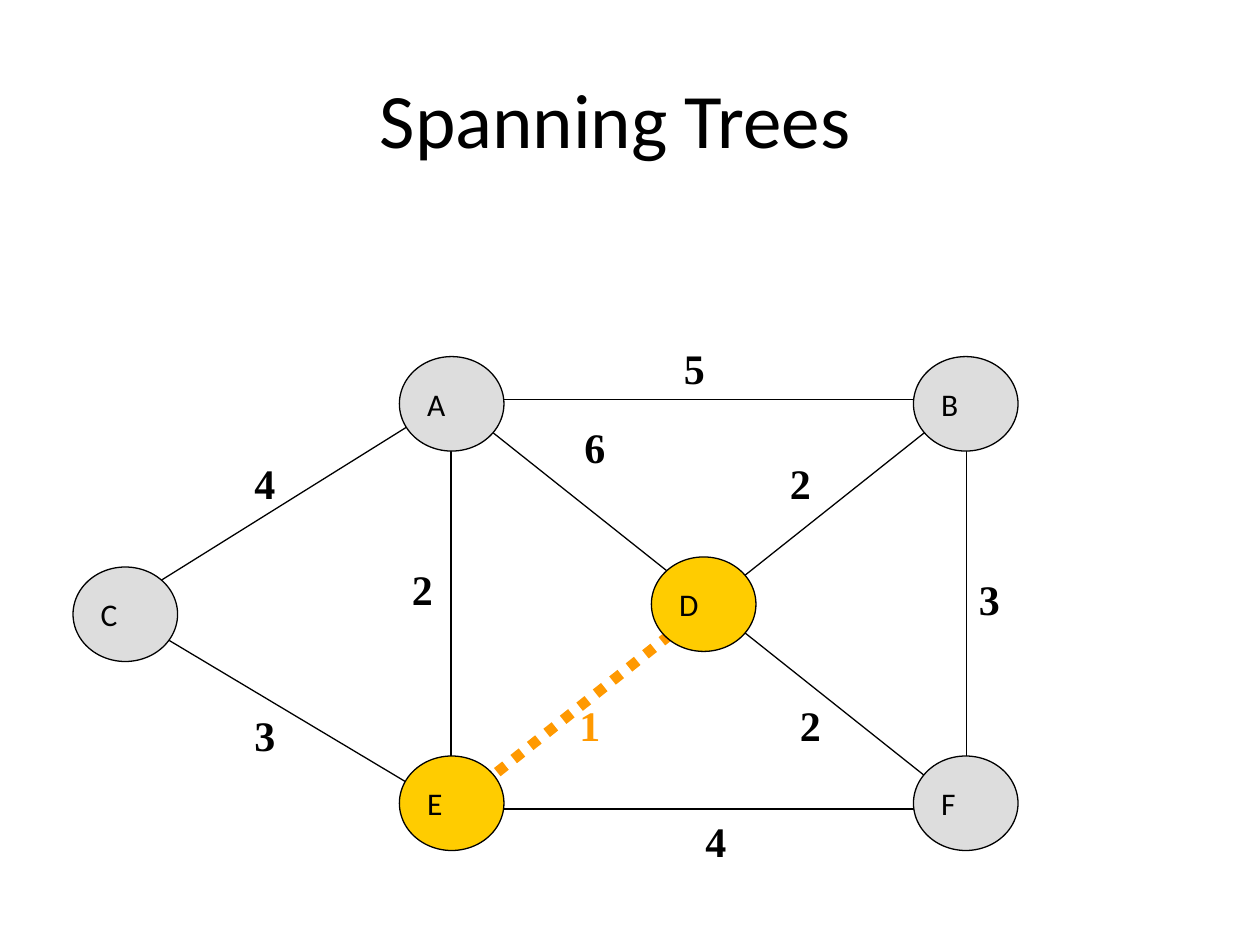
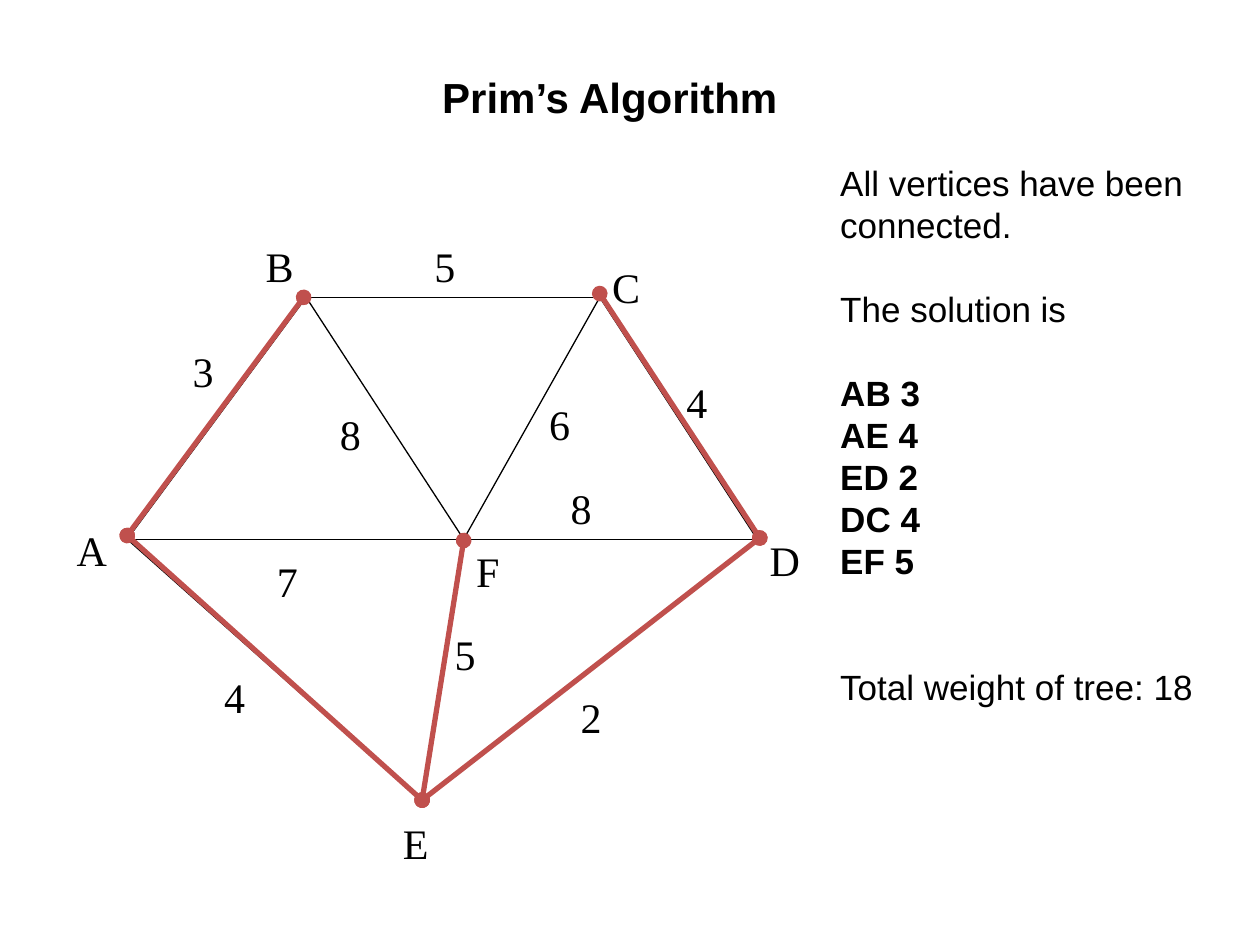
import pptx
import pptx.dml.color
import pptx.enum.dml
import pptx.enum.shapes
import pptx.enum.text
import pptx.oxml
import pptx.oxml.ns
import pptx.util

PX = 9144  # 100 px to the inch
COLORS = {"ink": "000000", "node": "DDDDDD", "visited": "FFCC00",
          "chosen": "FF9900", "tree": "C0504D"}
WEIGHT_FONT = "Times New Roman"


def rgb(name):
    return pptx.dml.color.RGBColor.from_string(COLORS[name])


def add_text(sl, text, x, y, w=50, h=50, font=WEIGHT_FONT, size=24, bold=False,
             color="ink", center=False, fill=None, pitch=None):
    """Write text, or a list of (text, bold, space before) rows; a fill makes it a node."""
    box = [v * PX for v in (x, y, w, h)]
    if fill:
        sp = sl.shapes.add_shape(pptx.enum.shapes.MSO_SHAPE.OVAL, *box)
        sp.shadow.inherit = False
        sp.fill.solid()
        sp.fill.fore_color.rgb = rgb(fill)
        sp.line.color.rgb = rgb("ink")
        sp.line.width = pptx.util.Pt(0.75)
    else:
        sp = sl.shapes.add_textbox(*box)
    tf = sp.text_frame
    tf.word_wrap = not fill
    anchor = pptx.enum.text.MSO_ANCHOR
    tf.vertical_anchor = anchor.MIDDLE if fill else anchor.TOP
    align = pptx.enum.text.PP_ALIGN
    rows = [(text, bold, 0)] if isinstance(text, str) else text
    for i, (row, row_bold, before) in enumerate(rows):
        p = tf.add_paragraph() if i else tf.paragraphs[0]
        p.alignment = align.CENTER if center else align.LEFT
        if before:
            p.space_before = pptx.util.Pt(before)
        if pitch:
            p.line_spacing = pptx.util.Pt(pitch)
        r = p.add_run()
        r.text = row
        r.font.name = font
        r.font.size = pptx.util.Pt(size)
        r.font.bold = row_bold
        r.font.color.rgb = rgb(color)


def add_line(sl, start, end, color="ink", width=0.75, dotted=False, ovals=False):
    ends = [v * PX for v in (*start, *end)]
    line = sl.shapes.add_connector(pptx.enum.shapes.MSO_CONNECTOR.STRAIGHT, *ends)
    line.line.color.rgb = rgb(color)
    line.line.width = pptx.util.Pt(width)
    if dotted:
        line.line.dash_style = pptx.enum.dml.MSO_LINE.ROUND_DOT
    if ovals:
        ln = line.line._get_or_add_ln()
        for tag in ("headEnd", "tailEnd"):
            ln.append(pptx.oxml.parse_xml(
                f'<a:{tag} {pptx.oxml.ns.nsdecls("a")} type="oval"/>'))
    line._element.spPr.append(pptx.oxml.parse_xml(
        f'<a:effectLst {pptx.oxml.ns.nsdecls("a")}/>'))


prs = pptx.Presentation()
prs.slide_width = 1000 * PX
prs.slide_height = 750 * PX
blank = prs.slide_layouts[6]

# Slide 1: weighted graph with the first edge chosen
sl = prs.slides.add_slide(blank)
joints = {"A": (358, 317), "B": (767, 317), "C": (92, 483), "D": (567, 483),
          "D left": (558, 483), "E": (358, 642), "F": (767, 642)}
edges = [("E", "F"), ("F", "B"), ("B", "A"), ("A", "E"), ("D", "F"), ("A", "D"),
         ("D left", "E"), ("D left", "B"), ("C", "A"), ("C", "E")]
for a, b in edges:
    if (a, b) == ("D left", "E"):
        add_line(sl, joints[a], joints[b], color="chosen", width=6, dotted=True)
    else:
        add_line(sl, joints[a], joints[b])

nodes = {"C": (58, 450), "F": (725, 600), "E": (317, 600),
         "A": (317, 283), "B": (725, 283), "D": (517, 442)}
for name, (x, y) in nodes.items():
    add_text(sl, name, x, y, 83, 75, font="Calibri", size=18,
             fill="visited" if name in "DE" else "node")

weights = [("5", 533, 267), ("6", 454, 330), ("4", 192, 358), ("3", 192, 558),
           ("4", 550, 642), ("2", 317, 442), ("1", 450, 550), ("2", 625, 550),
           ("3", 767, 450), ("2", 617, 358)]
for weight, x, y in weights:
    add_text(sl, weight, x, y, bold=True, color="chosen" if weight == "1" else "ink")
add_text(sl, "Spanning Trees", 225, 52, 527, 84, font="Calibri", size=44, center=True)

# Slide 2: finished tree
sl = prs.slides.add_slide(blank)
add_text(sl, "Prim’s Algorithm", 90, 52, 788, 50, font="Arial", bold=True, center=True)

vertices = {"A": (101, 428), "B": (243, 236), "C": (476, 236),
            "D": (601, 428), "E": (335, 636), "F": (368, 428)}
for a, b in ("AB", "BC", "CD", "AF", "FD", "BF", "FC", "AE", "EF", "ED"):
    add_line(sl, vertices[a], vertices[b])

labels = [("A", 51, 411), ("F", 368, 428), ("B", 201, 186), ("C", 476, 203),
          ("D", 601, 419), ("E", 310, 644),
          ("2", 451, 544), ("7", 210, 436), ("4", 168, 528), ("5", 351, 494),
          ("8", 260, 319), ("6", 426, 311), ("4", 535, 294), ("5", 335, 186),
          ("3", 143, 269), ("8", 443, 378)]
for label, x, y in labels:
    add_text(sl, label, x, y)

PITCH = 24
solution = [("All vertices have been", False, 0), ("connected.", False, 0),
            ("The solution is", False, PITCH),
            ("AB 3", True, PITCH), ("AE 4", True, 0), ("ED 2", True, 0),
            ("DC 4", True, 0), ("EF 5", True, 0),
            ("Total weight of tree: 18", False, 2 * PITCH)]
add_text(sl, solution, 657, 123, 315, 477, font="Arial", size=20, pitch=PITCH)

tree_ends = {"A": (101, 425), "B": (241, 236), "C": (476, 233),
             "D": (603, 427), "E": (335, 635), "F": (368, 429)}
for a, b in ("AB", "AE", "ED", "DC", "EF"):
    add_line(sl, tree_ends[a], tree_ends[b], color="tree", width=3, ovals=True)

prs.save("out.pptx")
